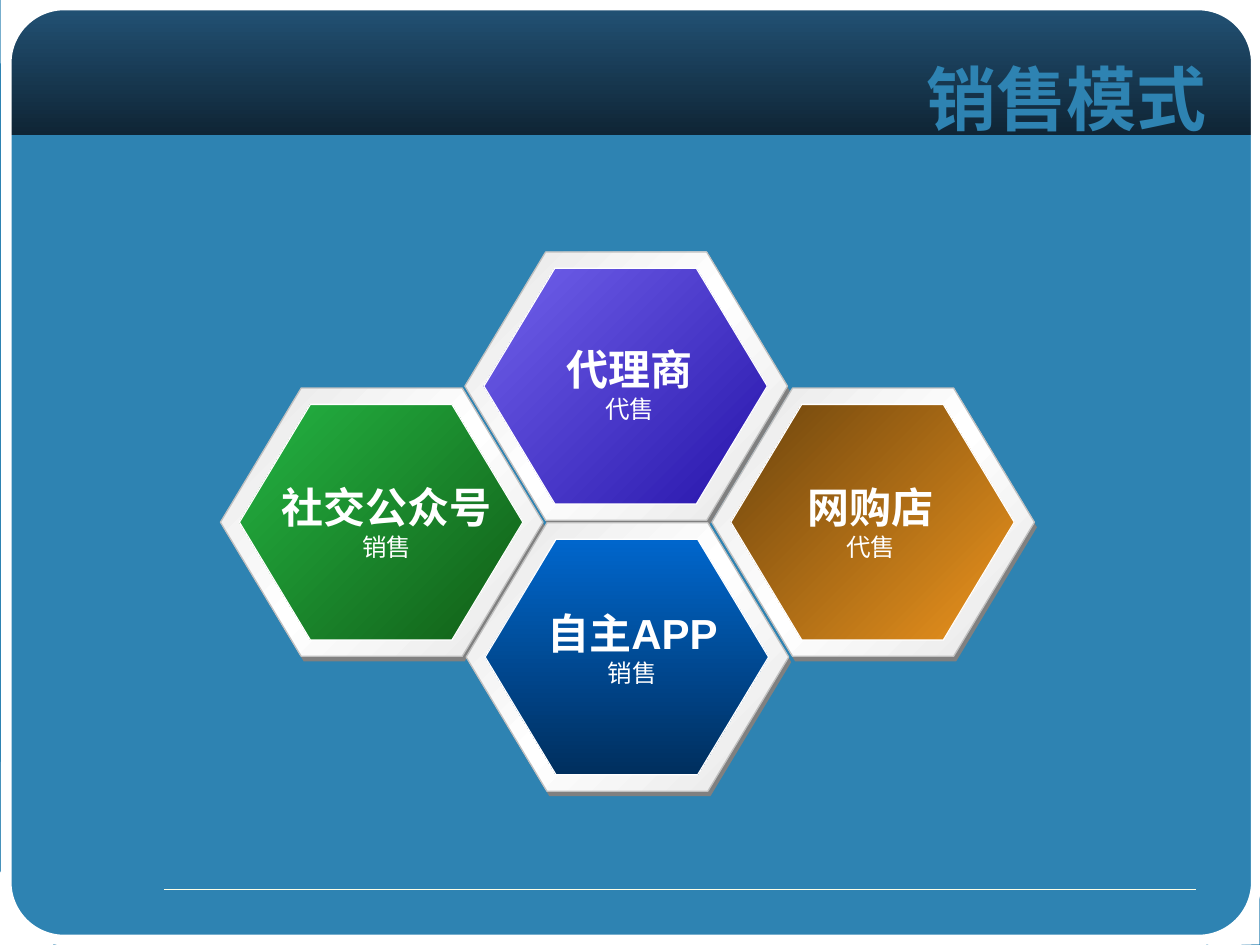
from dataclasses import dataclass

from lxml.etree import SubElement
from pptx import Presentation
from pptx.dml.color import RGBColor
from pptx.enum.shapes import MSO_CONNECTOR, MSO_SHAPE
from pptx.enum.text import MSO_ANCHOR, PP_ALIGN
from pptx.oxml.ns import qn
from pptx.util import Inches, Pt


@dataclass(frozen=True)
class Theme:
    background: str = "2E83B2"
    header: tuple = ("225174", "0F2535")
    white: str = "FFFFFF"
    rule: str = "FFFFE7"
    shade: str = "808080"
    rim: tuple = ("E6E6E6", "FFFFFF", "E6E6E6")
    rim_line: str = "C0C0C0"
    title_font: str = "DejaVu Sans"
    body_font: str = "Arial"
    title_size: int = 40
    name_size: int = 24
    role_size: int = 14
    line_width: float = 0.75
    frame_width: float = 6


@dataclass(frozen=True)
class Badge:
    """A framed hexagon, placed by the left and top of its rim."""
    left: float
    top: float
    colors: tuple
    angle: int
    name: str
    role: str
    label_center: float
    label_top: float


THEME = Theme()
DIAGONAL, DOWNWARD = 225, 90
RIM_SIZE = (2.56, 2.13)
CORE_SIZE = (2.25, 1.87)
CORE_INSET = (0.15, 0.13)
SHADE_OFFSET = (0.02, 0.04)
LABEL_SIZE = (1.9, 0.74)

BADGES = [
    Badge(3.69, 2.0, ("2614AA", "7262EC"), DIAGONAL, "代理商", "代售", 5.0, 2.68),
    Badge(1.75, 3.08, ("115D16", "24B443"), DIAGONAL, "社交公众号", "销售", 3.07, 3.77),
    Badge(5.65, 3.08, ("EC941E", "6C440D"), DIAGONAL, "网购店", "代售", 6.91, 3.77),
    Badge(3.7, 4.15, ("0066CC", "002F5E"), DOWNWARD, "自主APP", "销售", 5.02, 4.77),
]

CORNERS = [
    [(0.01, 0.06), (0.01, 0.5), (0.15, 0.25), (0.29, 0.06), (0.51, 0), (0.01, 0)],
    [(0.05, 7.5), (0.42, 7.5), (0.21, 7.33), (0.05, 7.17), (0, 6.92), (0, 7.5)],
    [(9.99, 7.43), (9.99, 7), (9.87, 7.25), (9.76, 7.43), (9.59, 7.5), (9.99, 7.49)],
    [(9.94, 0), (9.51, 0), (9.76, 0.14), (9.94, 0.29), (10.01, 0.5), (10.01, 0)],
]


def color(value: str) -> RGBColor:
    return RGBColor.from_string(value)


def fill_solid(shape, value: str) -> None:
    shape.fill.solid()
    shape.fill.fore_color.rgb = color(value)


def fill_gradient(shape, colors: tuple, angle: int) -> None:
    """Spread the colours evenly; the angle is measured clockwise."""
    shape.fill.gradient()
    shape.fill.gradient_angle = 360 - angle
    stops = shape._element.spPr.find(qn("a:gradFill")).find(qn("a:gsLst"))
    for stop in list(stops):
        stops.remove(stop)
    for index, value in enumerate(colors):
        position = 100000 * index // (len(colors) - 1)
        stop = SubElement(stops, qn("a:gs"), pos=str(position))
        SubElement(stop, qn("a:srgbClr"), val=value)


def set_line(shape, value: str, width: float = THEME.line_width) -> None:
    shape.line.color.rgb = color(value)
    shape.line.width = Pt(width)


def add_preset(slide, preset: MSO_SHAPE, left: float, top: float, size: tuple):
    shape = slide.shapes.add_shape(preset, Inches(left), Inches(top), *map(Inches, size))
    shape.shadow.inherit = False
    return shape


def add_hexagon(slide, left: float, top: float, size: tuple):
    shape = add_preset(slide, MSO_SHAPE.HEXAGON, left, top, size)
    shape.adjustments[0] = 0.301
    return shape


def format_text(paragraph, alignment, font_name: str, size: int, value: str, bold: bool) -> None:
    paragraph.alignment = alignment
    for run in paragraph.runs:
        run.font.name = font_name
        run.font.size = Pt(size)
        run.font.bold = bold
        run.font.color.rgb = color(value)
        SubElement(run.font._element, qn("a:ea"), typeface=font_name)


def add_frame(slide) -> None:
    """Header band, rounded outline, corner pieces and footer rule."""
    header = add_preset(slide, MSO_SHAPE.RECTANGLE, 0.05, 0.06, (9.94, 1.01))
    fill_gradient(header, THEME.header, DOWNWARD)
    header.line.fill.background()

    outline = add_preset(slide, MSO_SHAPE.ROUNDED_RECTANGLE, 0.05, 0.04, (9.92, 7.42))
    outline.adjustments[0] = 0.062
    outline.fill.background()
    set_line(outline, THEME.white, THEME.frame_width)

    for corner in CORNERS:
        points = [(Inches(x), Inches(y)) for x, y in corner]
        builder = slide.shapes.build_freeform(*points[0])
        builder.add_line_segments(points[1:], close=True)
        piece = builder.convert_to_shape()
        piece.shadow.inherit = False
        fill_solid(piece, THEME.white)
        set_line(piece, THEME.white)

    rule = slide.shapes.add_connector(
        MSO_CONNECTOR.STRAIGHT, Inches(1.3), Inches(7.06), Inches(9.49), Inches(7.06))
    set_line(rule, THEME.rule)
    SubElement(rule._element.spPr, qn("a:effectLst"))


def add_title(slide, text: str) -> None:
    box = slide.shapes.add_textbox(Inches(1.5), Inches(0.38), Inches(8.17), Inches(0.78))
    frame = box.text_frame
    frame.word_wrap = True
    frame.vertical_anchor = MSO_ANCHOR.MIDDLE
    frame.text = text
    format_text(frame.paragraphs[0], PP_ALIGN.RIGHT, THEME.title_font,
                THEME.title_size, THEME.background, True)


def add_badge(slide, badge: Badge) -> None:
    shade = add_hexagon(slide, badge.left + SHADE_OFFSET[0],
                        badge.top + SHADE_OFFSET[1], RIM_SIZE)
    fill_solid(shade, THEME.shade)
    shade.line.fill.background()

    rim = add_hexagon(slide, badge.left, badge.top, RIM_SIZE)
    fill_gradient(rim, THEME.rim, DIAGONAL)
    set_line(rim, THEME.rim_line)

    core = add_hexagon(slide, badge.left + CORE_INSET[0],
                       badge.top + CORE_INSET[1], CORE_SIZE)
    fill_gradient(core, badge.colors, badge.angle)
    set_line(core, THEME.white)

    label = slide.shapes.add_textbox(
        Inches(badge.label_center - LABEL_SIZE[0] / 2), Inches(badge.label_top),
        *map(Inches, LABEL_SIZE))
    frame = label.text_frame
    frame.word_wrap = False
    frame.text = f"{badge.name}\n{badge.role}"
    name, role = frame.paragraphs
    format_text(name, PP_ALIGN.CENTER, THEME.body_font, THEME.name_size, THEME.white, True)
    format_text(role, PP_ALIGN.CENTER, THEME.body_font, THEME.role_size, THEME.white, False)


def main() -> None:
    presentation = Presentation()
    presentation.slide_width = Inches(10)
    presentation.slide_height = Inches(7.5)
    slide = presentation.slides.add_slide(presentation.slide_layouts[6])
    fill_solid(slide.background, THEME.background)
    add_frame(slide)
    add_title(slide, "销售模式")
    for badge in BADGES:
        add_badge(slide, badge)
    presentation.save("out.pptx")


if __name__ == "__main__":
    main()
